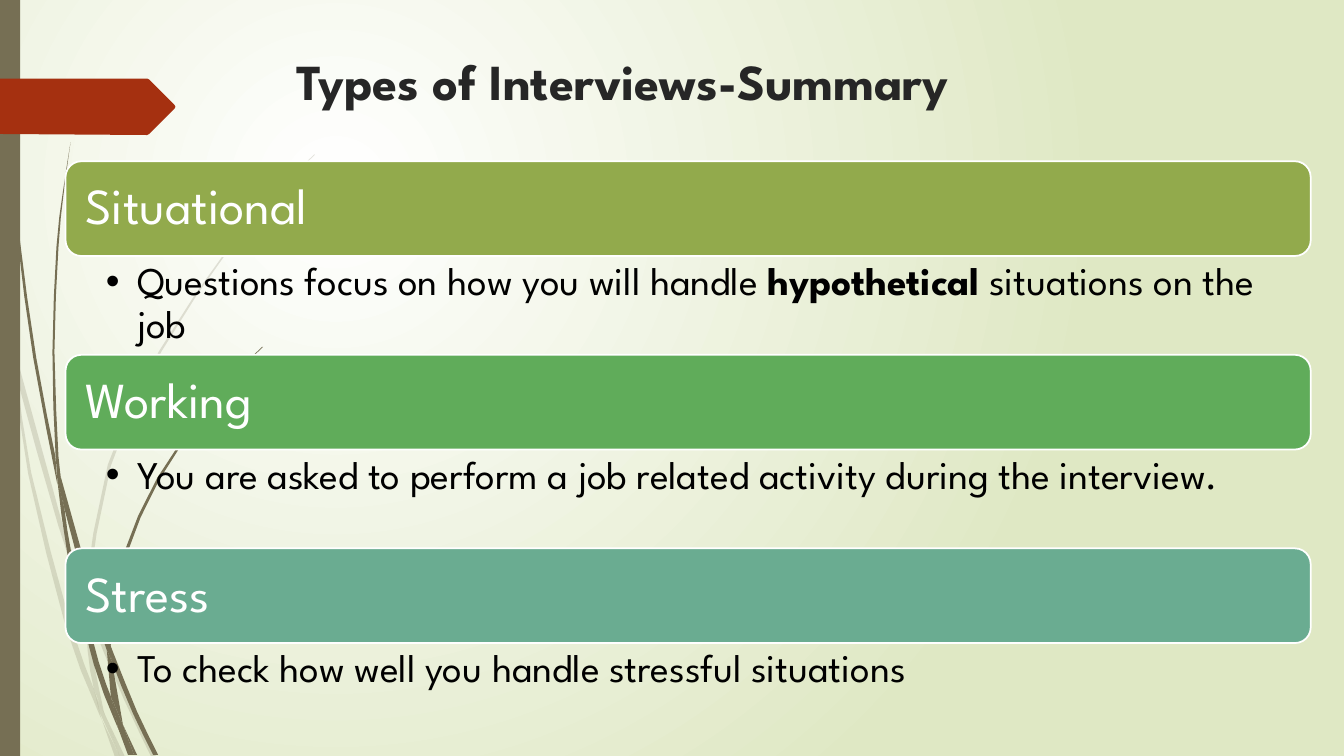
from dataclasses import dataclass

from lxml import etree
from pptx import Presentation
from pptx.dml.color import RGBColor
from pptx.enum.shapes import MSO_SHAPE
from pptx.enum.text import MSO_ANCHOR, MSO_AUTO_SIZE, PP_ALIGN
from pptx.oxml.ns import qn
from pptx.util import Inches, Pt

RECTANGLE = MSO_SHAPE.RECTANGLE
ROUNDED = MSO_SHAPE.ROUNDED_RECTANGLE
TOP, MIDDLE = MSO_ANCHOR.TOP, MSO_ANCHOR.MIDDLE
LEFT = PP_ALIGN.LEFT
NO_AUTOFIT = MSO_AUTO_SIZE.NONE

Point = tuple[float, float]
Edge = tuple[Point, ...]


@dataclass(frozen=True)
class Theme:
    font: str = "League Spartan"
    bullet_font: str = "Arial"
    heading_size: int = 36
    detail_size: int = 28
    title: str = "262626"
    detail: str = "000000"
    white: str = "FFFFFF"
    backdrop: str = "DFE8C4"
    stalk: str = "766F54"
    marker: str = "A53010"


@dataclass(frozen=True)
class Blade:
    """A sliver of grass between two curved edges, one drawn out and one back."""
    out: Edge
    back: Edge


@dataclass(frozen=True)
class InterviewType:
    name: str
    color: str
    detail: tuple[tuple[str, bool], ...]
    detail_height: float = 0.98


THEME = Theme()
BAR_LEFT, BAR_TOP, BAR_WIDTH, BAR_HEIGHT, BAR_PITCH = 0.65, 1.6, 12.35, 0.94, 1.92
DETAIL_DROP = 0.95

INTERVIEW_TYPES = (
    InterviewType("Situational", "92AA4C", (
        ("Questions focus on how you will handle ", False),
        ("hypothetical", True),
        (" situations on the job", False))),
    InterviewType("Working", "60AC5A", (
        ("You are asked to perform a job related activity during the interview.", False),)),
    InterviewType("Stress", "6AAC91", (
        ("To check how well you handle stressful situations", False),), 0.65),
)

MARKER: Edge = ((0, 0.78), (1.46, 0.78), (1.48, 0.79), (1.73, 1.04), (1.74, 1.06),
                (1.73, 1.08), (1.48, 1.33), (1.46, 1.34), (0, 1.33))

PALE_BLADES = (
    Blade(((0.11, 3.5), (0.09, 3.22), (0, 2.82)), ((0, 2.99), (0.1, 3.44), (0.11, 3.5))),
    Blade(((0.14, 3.45), (0.17, 3.76), (0.58, 5.22), (0.84, 5.99)),
          ((0.85, 5.86), (0.62, 5.2), (0.14, 3.45))),
    Blade(((0.88, 5.96), (0.88, 6.1), (1.23, 6.94), (1.5, 7.51)),
          ((1.55, 7.51), (1.27, 6.92), (0.92, 6.07), (0.88, 5.96))),
    Blade(((1.05, 7.11), (1.19, 7.51)), ((1.24, 7.51), (1.05, 7.11))),
    Blade(((0.11, 3.5), (0.28, 4.7), (0.65, 6.21), (0.92, 6.93), (1.01, 7.14)),
          ((0.99, 7.07), (0.93, 6.83), (0.7, 6.19), (0.31, 4.69), (0.17, 3.76), (0.11, 3.5))),
    Blade(((0.84, 5.99), (0.87, 6.46), (0.93, 6.83), (1.05, 7.11)),
          ((1.03, 7.06), (0.91, 6.46), (0.88, 6.08), (0.84, 5.99))),
    Blade(((0.88, 5.96), (0.88, 5.84), (1.1, 4.62), (1.6, 3.49), (2.29, 2.45), (2.68, 1.98),
           (2.9, 1.75), (3.12, 1.54)),
          ((3.12, 1.53), (2.89, 1.75), (2.68, 1.97), (2.28, 2.44), (1.58, 3.48), (1.07, 4.61),
           (0.85, 5.84), (0.88, 5.96))),
    Blade(((1.01, 7.14), (1.14, 7.51)), ((1.19, 7.51), (1.01, 7.14))),
    Blade(((0.93, 6.83), (0.99, 7.07), (1.19, 7.51)), ((1.05, 7.11), (0.96, 6.92), (0.93, 6.83))),
)

DARK_BLADES = (
    Blade(((0.03, 0), (0.04, 0.48), (0.07, 1.1), (0.17, 2.33), (0.33, 3.55), (0.57, 4.81)),
          ((0.55, 4.53), (0.36, 3.55), (0.19, 2.32), (0.08, 1.09), (0.05, 0.48), (0.04, 0))),
    Blade(((0.6, 4.72), (0.64, 5.05), (0.88, 5.92), (1.06, 6.45)),
          ((1.06, 6.31), (0.93, 5.9), (0.6, 4.72))),
    Blade(((1.1, 6.41), (1.11, 6.56), (1.32, 7.08), (1.52, 7.49)),
          ((1.57, 7.49), (1.36, 7.06), (1.13, 6.49), (1.1, 6.41))),
    Blade(((0.57, 4.77), (0.68, 5.57), (0.93, 6.59), (1.11, 7.08), (1.17, 7.22)),
          ((1.16, 7.17), (1.1, 6.91), (0.98, 6.57), (0.72, 5.56), (0.64, 5.05), (0.57, 4.77))),
    Blade(((0.7, 1.41), (0.62, 1.93), (0.56, 2.45), (0.52, 3.49), (0.55, 4.49), (0.6, 4.72)),
          ((0.58, 4.53), (0.54, 3.49), (0.58, 2.45), (0.63, 1.93), (0.7, 1.41))),
    Blade(((1.22, 7.19), (1.33, 7.49)), ((1.36, 7.49), (1.22, 7.19))),
    Blade(((0.55, 4.49), (0.57, 4.77), (0.64, 5.05)), ((0.6, 4.72), (0.55, 4.49))),
    Blade(((1.1, 6.41), (1.11, 6.33), (1.25, 5.52), (1.58, 4.76), (2.05, 4.06), (2.31, 3.74),
           (2.61, 3.44)),
          ((2.6, 3.44), (2.31, 3.73), (2.04, 4.05), (1.56, 4.74), (1.22, 5.51), (1.06, 6.31))),
    Blade(((1.17, 7.22), (1.27, 7.49)), ((1.31, 7.49), (1.17, 7.22))),
    Blade(((1.06, 6.45), (1.1, 6.91), (1.22, 7.19)), ((1.11, 6.56), (1.06, 6.45))),
    Blade(((1.06, 6.31), (1.06, 6.45), (1.11, 6.56)), ((1.1, 6.41), (1.06, 6.31))),
    Blade(((1.1, 6.91), (1.17, 7.22), (1.3, 7.49)), ((1.33, 7.49), (1.22, 7.19), (1.1, 6.91))),
)


def smooth(edge: Edge) -> list[Point]:
    """Round a long edge by adding the Catmull-Rom midpoint of each inner span."""
    curve = [edge[0]]
    nodes = (edge[0], *edge, edge[-1])
    for a, b, c, d in zip(nodes, nodes[1:], nodes[2:], nodes[3:]):
        if len(edge) > 3:
            curve.append(tuple((9 * (q + r) - p - s) / 16 for p, q, r, s in zip(a, b, c, d)))
        curve.append(c)
    return curve


def paint(shape, color: str) -> None:
    shape.fill.solid()
    shape.fill.fore_color.rgb = RGBColor.from_string(color)
    shape.line.fill.background()
    shape.shadow.inherit = False


def draw_outline(shapes, points, color: str):
    corners = [(Inches(x), Inches(y)) for x, y in points]
    builder = shapes.build_freeform(*corners[0], scale=1.0)
    builder.add_line_segments(corners[1:], close=True)
    outline = builder.convert_to_shape()
    paint(outline, color)
    return outline


def draw_blades(slide, blades: tuple[Blade, ...], opacity: int = 100) -> None:
    tuft = slide.shapes.add_group_shape()
    for blade in blades:
        outline = draw_outline(tuft.shapes, smooth(blade.out) + smooth(blade.back), THEME.stalk)
        if opacity < 100:
            color = outline._element.spPr.find(qn("a:solidFill"))[0]
            etree.SubElement(color, qn("a:alpha"), val=str(opacity * 1000))


def fill_background(slide) -> None:
    """Shade outwards from white, centred a quarter of the way in."""
    fill = slide.background.fill
    fill.gradient()
    for stop, color in zip(fill.gradient_stops, (THEME.white, THEME.backdrop)):
        stop.color.rgb = RGBColor.from_string(color)
    linear = slide._element.find(".//" + qn("a:lin"))
    gradient = linear.getparent()
    gradient.remove(linear)
    circle = etree.SubElement(gradient, qn("a:path"), path="circle")
    etree.SubElement(circle, qn("a:fillToRect"), l="50000", t="50000", r="100000", b="100000")


def add_run(paragraph, text: str, size: int, color: str, bold: bool = False) -> None:
    run = paragraph.add_run()
    run.text = text
    run.font.name, run.font.size, run.font.bold = THEME.font, Pt(size), bold
    run.font.color.rgb = RGBColor.from_string(color)


def place_title(slide) -> None:
    title = slide.shapes.title
    title.left, title.top, title.width, title.height = map(Inches, (2.84, 0.45, 7.64, 0.98))
    frame = title.text_frame
    frame.auto_size, frame.vertical_anchor = NO_AUTOFIT, TOP
    frame.paragraphs[0].alignment = LEFT
    add_run(frame.paragraphs[0], "Types of Interviews-Summary", THEME.heading_size, THEME.title, True)
    slide.shapes._spTree.append(title._element)


def draw_bar(slide, kind: InterviewType, top: float) -> None:
    bar = slide.shapes.add_shape(ROUNDED, *map(Inches, (BAR_LEFT, top, BAR_WIDTH, BAR_HEIGHT)))
    paint(bar, kind.color)
    bar.line.color.rgb = RGBColor.from_string(THEME.white)
    bar.line.width = Pt(1.25)
    frame = bar.text_frame
    frame.margin_left, frame.vertical_anchor = Inches(0.15), MIDDLE
    heading = frame.paragraphs[0]
    heading.alignment, heading.line_spacing = LEFT, 0.9
    add_run(heading, kind.name, THEME.heading_size, THEME.white)


def draw_detail(slide, kind: InterviewType, top: float) -> None:
    box = slide.shapes.add_textbox(*map(Inches, (BAR_LEFT, top, BAR_WIDTH, kind.detail_height)))
    frame = box.text_frame
    frame.word_wrap = True
    frame.margin_left, frame.margin_right = Inches(0.4), Inches(0.27)
    detail = frame.paragraphs[0]
    properties = detail._p.get_or_add_pPr()
    properties.set("marL", str(Inches(0.31)))
    properties.set("indent", str(-Inches(0.31)))
    etree.SubElement(properties, qn("a:buFont"), typeface=THEME.bullet_font)
    etree.SubElement(properties, qn("a:buChar"), char="•")
    detail.line_spacing = 0.9
    detail.font.size = Pt(THEME.detail_size)
    for text, bold in kind.detail:
        add_run(detail, text, THEME.detail_size, THEME.detail, bold)


def main() -> None:
    deck = Presentation()
    deck.slide_width, deck.slide_height = Inches(13.33), Inches(7.5)
    slide = deck.slides.add_slide(deck.slide_layouts.get_by_name("Title Only"))
    fill_background(slide)
    draw_blades(slide, PALE_BLADES, opacity=20)
    draw_blades(slide, DARK_BLADES)
    paint(slide.shapes.add_shape(RECTANGLE, 0, 0, Inches(0.2), Inches(7.5)), THEME.stalk)
    draw_outline(slide.shapes, MARKER, THEME.marker)
    place_title(slide)
    for row, kind in enumerate(INTERVIEW_TYPES):
        top = BAR_TOP + row * BAR_PITCH
        draw_bar(slide, kind, top)
        draw_detail(slide, kind, top + DETAIL_DROP)
    deck.save("out.pptx")


if __name__ == "__main__":
    main()
